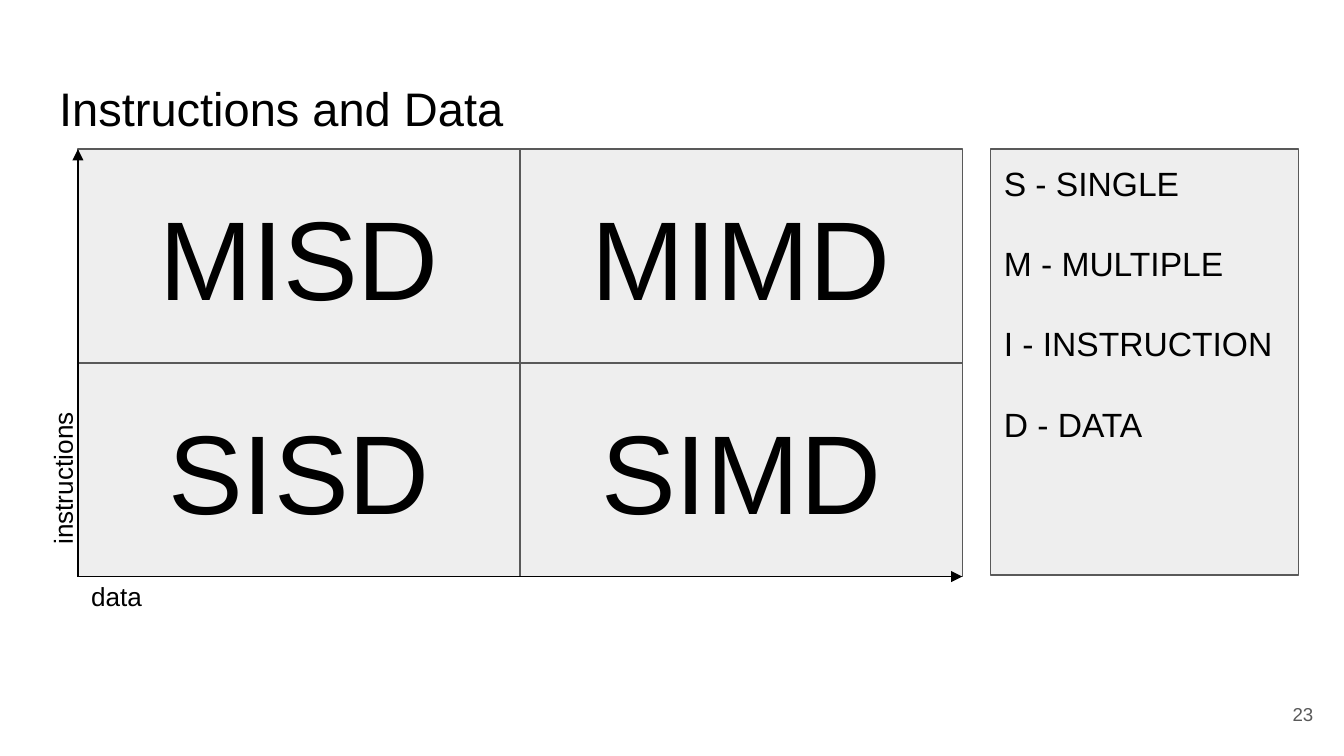
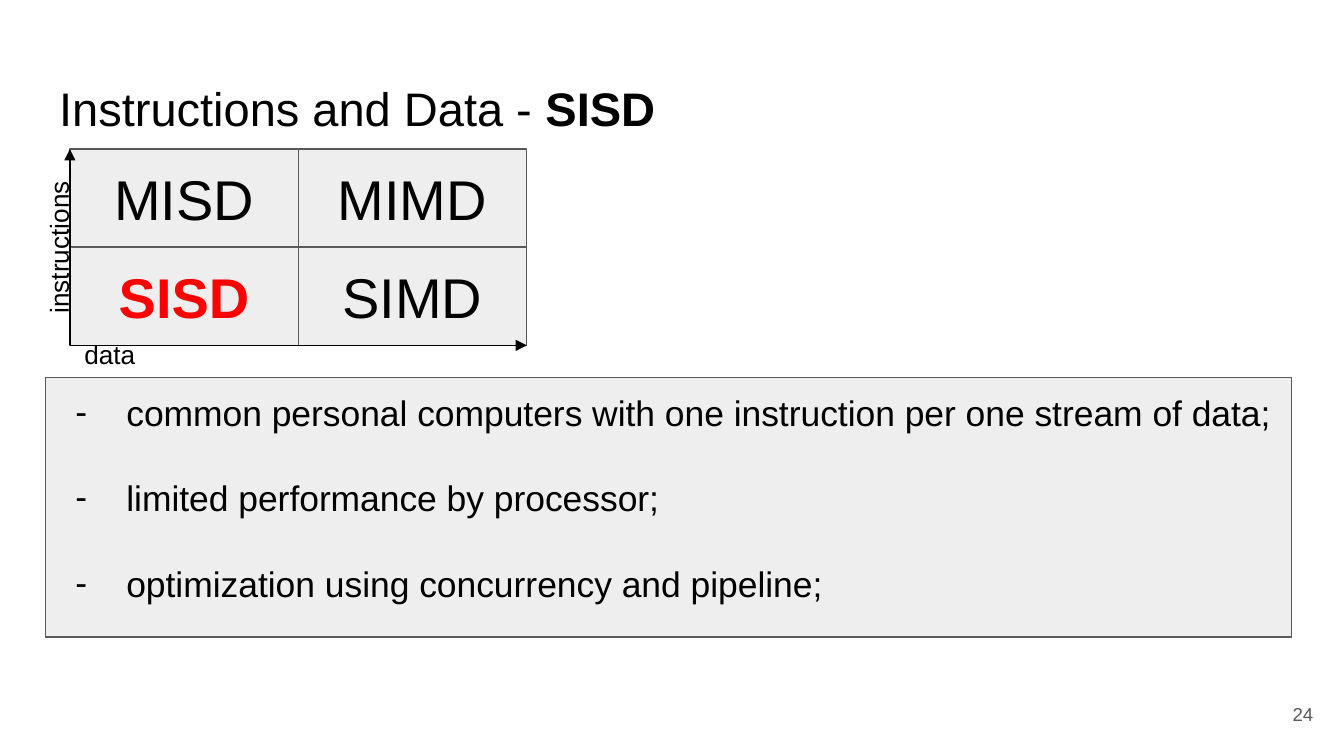
from lxml import etree
from pptx import Presentation
from pptx.dml.color import RGBColor
from pptx.enum.shapes import MSO_CONNECTOR, MSO_SHAPE
from pptx.enum.text import MSO_ANCHOR, MSO_AUTO_SIZE, PP_ALIGN
from pptx.oxml.ns import qn
from pptx.util import Inches, Pt

RECTANGLE = MSO_SHAPE.RECTANGLE
STRAIGHT = MSO_CONNECTOR.STRAIGHT
TOP, MIDDLE = MSO_ANCHOR.TOP, MSO_ANCHOR.MIDDLE
LEFT, CENTER, RIGHT = PP_ALIGN.LEFT, PP_ALIGN.CENTER, PP_ALIGN.RIGHT
NO_FIT = MSO_AUTO_SIZE.NONE

BLACK = RGBColor(0x00, 0x00, 0x00)
GRAY = RGBColor(0x59, 0x59, 0x59)
PANEL = RGBColor(0xEE, 0xEE, 0xEE)
RED = RGBColor(0xFF, 0x00, 0x00)
FONT = "Arial"

TITLE_AND_CONTENT, TITLE_ONLY = 1, 5
TAXONOMY = [["MISD", "MIMD"], ["SISD", "SIMD"]]
LEGEND = ["S - SINGLE", "M - MULTIPLE", "I - INSTRUCTION", "D - DATA"]
SISD_POINTS = [
    "common personal computers with one instruction per one stream of data;",
    "limited performance by processor;",
    "optimization using concurrency and pipeline;",
]
# Axis label boxes are left, top, width, height
SLIDES = [
    dict(number=23, layout=TITLE_ONLY, focus=None, left=0.58, cell=(3.29, 1.59),
         size=60, instructions=(-0.27, 3.44, 1.47, 0.24), data=(0.58, 4.29, 0.74, 0.29)),
    dict(number=24, layout=TITLE_AND_CONTENT, focus="SISD", left=0.52, cell=(1.7, 0.73),
         size=30, instructions=(-0.29, 1.75, 1.45, 0.18), data=(0.53, 2.57, 1.7, 0.13)),
]
GRID_TOP = 1.11


def prepare(box, anchor=MIDDLE, panel=False):
    """Set the text frame of a box and, for a panel, its fill and outline."""
    frame = box.text_frame
    frame.word_wrap = True
    frame.auto_size = NO_FIT
    frame.vertical_anchor = anchor
    frame.margin_left = frame.margin_right = Inches(0.1)
    frame.margin_top = frame.margin_bottom = Inches(0.1)
    if panel:
        box.shadow.inherit = False
        box.fill.solid()
        box.fill.fore_color.rgb = PANEL
        box.line.color.rgb = GRAY
        box.line.width = Pt(0.75)
    return frame


def write(para, text, size, color=BLACK, bold=False, align=LEFT):
    """Add a formatted span to a paragraph."""
    para.alignment = align
    span = para.add_run()
    span.text = text
    span.font.name = FONT
    span.font.size = Pt(size)
    span.font.bold = bold
    span.font.color.rgb = color


# Widescreen, 16:9
deck = Presentation()
deck.slide_width = Inches(10)
deck.slide_height = Inches(10) * 9 // 16

for plan in SLIDES:
    page = deck.slides.add_slide(deck.slide_layouts[plan["layout"]])

    # Title
    title = page.shapes.title
    title.left, title.top = Inches(0.34), Inches(0.49)
    title.width, title.height = Inches(9.32), Inches(0.63)
    heading = prepare(title, TOP).paragraphs[0]
    if plan["focus"]:
        write(heading, "Instructions and Data - ", 25.2)
        write(heading, plan["focus"], 25.2, bold=True)
    else:
        write(heading, "Instructions and Data", 25.2)

    # Page number
    box = page.shapes.add_textbox(Inches(9.27), Inches(5.1), Inches(0.6), Inches(0.43))
    write(prepare(box).paragraphs[0], str(plan["number"]), 10, GRAY, align=RIGHT)

    # Taxonomy grid
    diagram = page.shapes.add_group_shape().shapes
    left, (width, height) = plan["left"], plan["cell"]
    for row, names in enumerate(TAXONOMY):
        for column, name in enumerate(names):
            cell = diagram.add_shape(
                RECTANGLE, Inches(left + column * width), Inches(GRID_TOP + row * height),
                Inches(width), Inches(height))
            focused = name == plan["focus"]
            write(prepare(cell, panel=True).paragraphs[0], name, plan["size"],
                  RED if focused else BLACK, focused, CENTER)

    # Axes, both starting at the lower left corner
    right, bottom = left + 2 * width, GRID_TOP + 2 * height
    for end_x, end_y in [(left, GRID_TOP), (right, bottom)]:
        axis = diagram.add_connector(
            STRAIGHT, Inches(left), Inches(bottom), Inches(end_x), Inches(end_y))
        axis.line.color.rgb = BLACK
        axis.line.width = Pt(0.75)
        outline = axis._element.spPr.find(qn("a:ln"))
        etree.SubElement(outline, qn("a:tailEnd"), type="triangle")
        etree.SubElement(axis._element.spPr, qn("a:effectLst"))

    # Axis labels
    for label, rotation, align in [("instructions", 270, CENTER), ("data", 0, LEFT)]:
        box = diagram.add_textbox(*[Inches(length) for length in plan[label]])
        box.rotation = rotation
        write(prepare(box).paragraphs[0], label, 14, align=align)

    # Legend or list of points
    if plan["focus"]:
        panel = page.placeholders[1]
        panel.left, panel.top = Inches(0.34), Inches(2.81)
        panel.width, panel.height = Inches(9.27), Inches(1.93)
        lines, size, gap = SISD_POINTS, 19, 23
    else:
        panel = page.shapes.add_shape(
            RECTANGLE, Inches(7.37), Inches(GRID_TOP), Inches(2.29), Inches(3.17))
        lines, size, gap = LEGEND, 18, 21.5
    frame = prepare(panel, TOP, panel=True)
    for index, line in enumerate(lines):
        para = frame.paragraphs[0] if index == 0 else frame.add_paragraph()
        if plan["focus"]:
            properties = para._p.get_or_add_pPr()
            properties.set("marL", str(Inches(0.5)))
            properties.set("indent", str(Inches(-0.38)))
            bullet_color = etree.SubElement(properties, qn("a:buClr"))
            etree.SubElement(bullet_color, qn("a:srgbClr"), val=str(BLACK))
            etree.SubElement(properties, qn("a:buFont"), typeface=FONT)
            etree.SubElement(properties, qn("a:buChar"), char="-")
        para.space_before = Pt(gap if index else 0)
        write(para, line, size)

deck.save("out.pptx")
